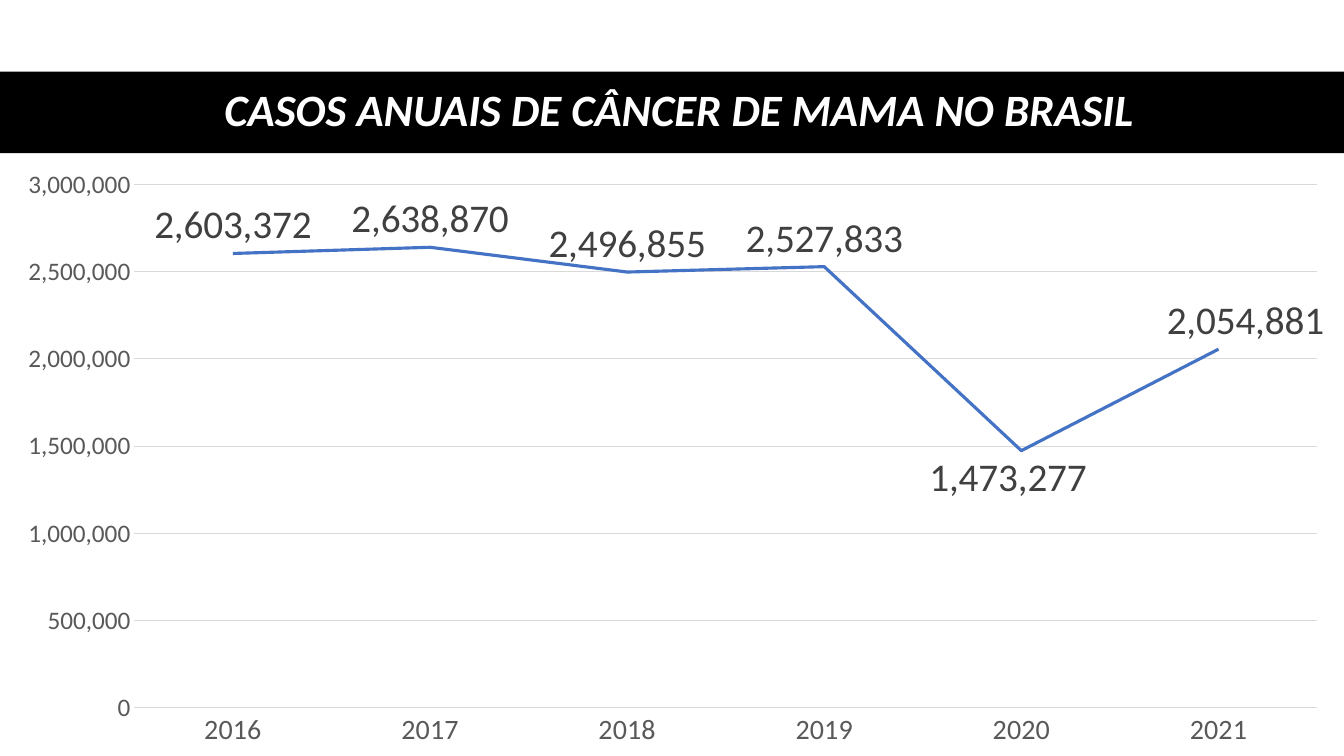
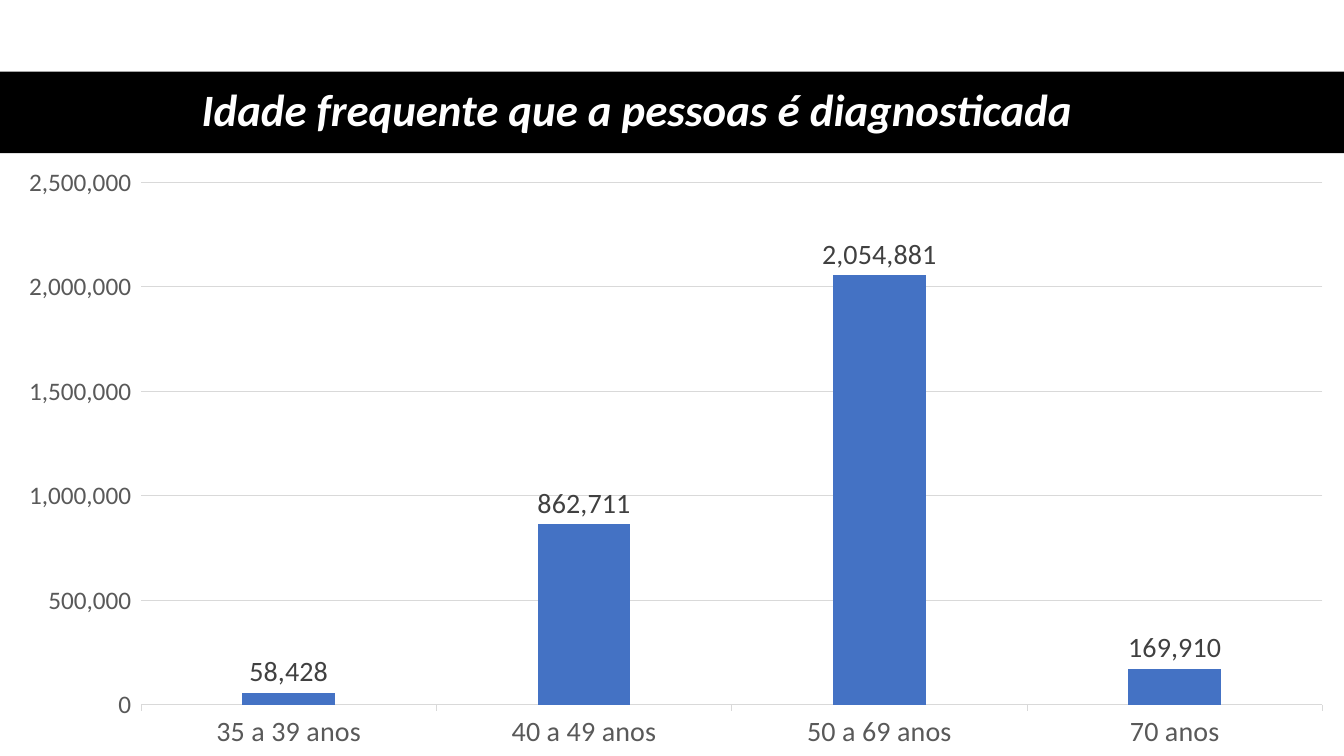
from lxml import etree
from pptx import Presentation
from pptx.chart.data import CategoryChartData
from pptx.dml.color import RGBColor
from pptx.enum.chart import XL_CHART_TYPE, XL_LABEL_POSITION, XL_MARKER_STYLE, XL_TICK_MARK
from pptx.enum.shapes import MSO_SHAPE
from pptx.enum.text import MSO_ANCHOR, PP_ALIGN
from pptx.oxml.ns import qn
from pptx.util import Inches, Pt

LINE, COLUMN = XL_CHART_TYPE.LINE, XL_CHART_TYPE.COLUMN_CLUSTERED
ABOVE, BELOW = XL_LABEL_POSITION.ABOVE, XL_LABEL_POSITION.BELOW
OUTSIDE_END = XL_LABEL_POSITION.OUTSIDE_END
NO_TICK, OUT_TICK = XL_TICK_MARK.NONE, XL_TICK_MARK.OUTSIDE
NO_MARKER = XL_MARKER_STYLE.NONE
RECTANGLE = MSO_SHAPE.RECTANGLE
MIDDLE = MSO_ANCHOR.MIDDLE
CENTER = PP_ALIGN.CENTER

FONT = "Calibri"
BLACK, WHITE, BLUE = "000000", "FFFFFF", "4472C4"
GRID_GRAY, AXIS_GRAY, LABEL_GRAY = "D9D9D9", "595959", "404040"
NUMBER_FORMAT = "#,##0"
SLIDE_WIDTH, SLIDE_HEIGHT = 13.33, 7.5
BAND_TOP, BAND_HEIGHT = 0.71, 0.81
TITLE_WIDTH = 12.26
CHART_TOP = 1.53


def color(hex_value):
    return RGBColor.from_string(hex_value)


def set_font(font, size, hex_value, **extras):
    font.color.rgb = color(hex_value)
    for name, value in {"name": FONT, "size": Pt(size), **extras}.items():
        setattr(font, name, value)


def set_line(line, hex_value, width):
    line.color.rgb = color(hex_value)
    line.width = Pt(width)


def add_titled_page(deck, title, title_left):
    """Blank page with the black band and its white title."""
    page = deck.slides.add_slide(deck.slide_layouts[6])
    band = page.shapes.add_shape(RECTANGLE, 0, Inches(BAND_TOP),
                                 Inches(SLIDE_WIDTH), Inches(BAND_HEIGHT))
    band.shadow.inherit = False
    band.fill.solid()
    band.fill.fore_color.rgb = color(BLACK)
    band.line.fill.background()

    box = page.shapes.add_textbox(Inches(title_left), Inches(BAND_TOP),
                                  Inches(TITLE_WIDTH), Inches(BAND_HEIGHT))
    box.text_frame.word_wrap = True
    box.text_frame.vertical_anchor = MIDDLE
    para = box.text_frame.paragraphs[0]
    para.alignment = CENTER
    para.line_spacing = 0.9
    span = para.add_run()
    span.text = title
    set_font(span.font, 32, WHITE, bold=True, italic=True)
    return page


def manual_layout(**values):
    """Layout element whose children follow the order of the values."""
    layout = etree.Element(qn("c:layout"))
    manual = etree.SubElement(layout, qn("c:manualLayout"))
    for name, value in values.items():
        etree.SubElement(manual, qn(f"c:{name}")).set("val", str(value))
    return layout


def place_plot(chart, left, top, width, height):
    area = chart.plots[0]._element.getparent()
    for old in area.findall(qn("c:layout")):
        area.remove(old)
    area.insert(0, manual_layout(layoutTarget="inner", xMode="edge", yMode="edge",
                                 x=left, y=top, w=width, h=height))


def style_axes(chart, maximum, tick):
    for axis, size in ((chart.category_axis, 20), (chart.value_axis, 18)):
        set_font(axis.tick_labels.font, size, AXIS_GRAY)
        axis.major_tick_mark = tick
        axis.minor_tick_mark = NO_TICK
    set_line(chart.category_axis.format.line, GRID_GRAY, 0.75)
    values = chart.value_axis
    values.format.line.fill.background()
    values.minimum_scale, values.maximum_scale = 0, maximum
    values.major_unit = 500000
    values.tick_labels.number_format = NUMBER_FORMAT
    values.tick_labels.number_format_is_linked = False
    set_line(values.major_gridlines.format.line, GRID_GRAY, 0.75)


def add_chart(page, kind, cases, maximum, tick, plot_place, label_size, label_position):
    data = CategoryChartData(number_format=NUMBER_FORMAT)
    data.categories = list(cases)
    data.add_series("Series 1", list(cases.values()))
    chart = page.shapes.add_chart(kind, 0, Inches(CHART_TOP), Inches(SLIDE_WIDTH),
                                  Inches(SLIDE_HEIGHT - CHART_TOP), data).chart
    chart.has_legend = chart.has_title = False
    set_font(chart.font, 10, BLACK)
    style_axes(chart, maximum, tick)
    place_plot(chart, *plot_place)
    chart.plots[0].vary_by_categories = False

    labels = chart.plots[0].series[0].data_labels
    labels.show_value = True
    labels.position = label_position
    labels.number_format = NUMBER_FORMAT
    labels.number_format_is_linked = False
    set_font(labels.font, label_size, LABEL_GRAY)
    return chart


def shift_label(series, index, position, shift, size):
    """Give one point its own label, moved sideways by a share of the chart."""
    label = series.points[index].data_label
    set_font(label.font, size, LABEL_GRAY)
    label.position = position
    element = series._element.xpath(f"c:dLbls/c:dLbl[c:idx/@val='{index}']")[0]
    element.insert(1, manual_layout(x=shift, y=0))


def add_annual_cases(deck):
    page = add_titled_page(deck, "CASOS ANUAIS DE CÂNCER DE MAMA NO BRASIL", 0.61)
    cases = {"2016": 2603372, "2017": 2638870, "2018": 2496855,
             "2019": 2527833, "2020": 1473277, "2021": 2054881}
    chart = add_chart(page, LINE, cases, 3000000, NO_TICK,
                      (0.1, 0.05, 0.88, 0.87), 28, ABOVE)
    series = chart.plots[0].series[0]
    series.smooth = False
    series.marker.style = NO_MARKER
    set_line(series.format.line, BLUE, 2.25)
    shift_label(series, 4, BELOW, -0.01, 28)
    shift_label(series, 5, ABOVE, 0.02, 28)


def add_age_groups(deck):
    page = add_titled_page(deck, "Idade frequente que a pessoas é diagnosticada", 0.19)
    cases = {"35 a 39 anos": 58428, "40 a 49 anos": 862711,
             "50 a 69 anos": 2054881, "70 anos": 169910}
    chart = add_chart(page, COLUMN, cases, 2500000, OUT_TICK,
                      (0.105, 0.047, 0.879, 0.868), 20, OUTSIDE_END)
    plot = chart.plots[0]
    plot.gap_width, plot.overlap = 219, -27
    fill = plot.series[0].format.fill
    fill.solid()
    fill.fore_color.rgb = color(BLUE)


def main():
    deck = Presentation()
    deck.slide_width, deck.slide_height = Inches(SLIDE_WIDTH), Inches(SLIDE_HEIGHT)
    add_annual_cases(deck)
    add_age_groups(deck)
    deck.save("out.pptx")


if __name__ == "__main__":
    main()
